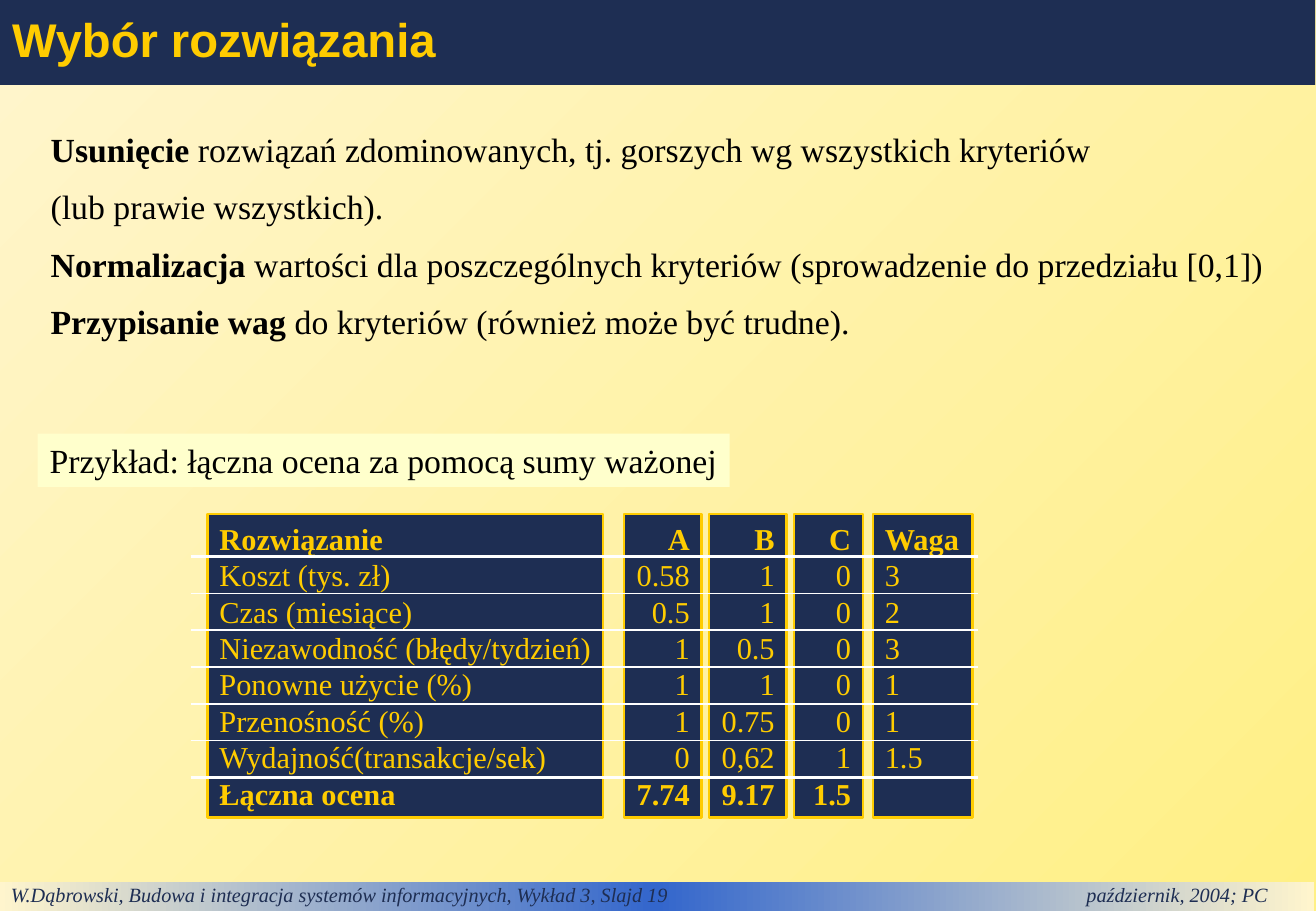
from copy import deepcopy

from lxml import etree
from pptx import Presentation
from pptx import util as u
from pptx.dml.color import RGBColor
from pptx.enum import shapes, text
from pptx.oxml import ns

NAVY = RGBColor(0x1E, 0x2E, 0x53)
GOLD = RGBColor(0xFF, 0xCC, 0x00)
BLUE = RGBColor(0x33, 0x66, 0xCC)
CREAM = RGBColor(0xFF, 0xF5, 0xCD)
LEMON = RGBColor(0xFF, 0xF0, 0x85)
PALE = RGBColor(0xFF, 0xFF, 0xCC)
BLACK = RGBColor(0, 0, 0)
WHITE = RGBColor(0xFF, 0xFF, 0xFF)
SERIF = "Times New Roman"
LEFT, RIGHT = text.PP_ALIGN.LEFT, text.PP_ALIGN.RIGHT

# Content: each paragraph is a list of (words, bold) runs
TITLE = "Wybór rozwiązania"
BODY = [
    [("Usunięcie", True),
     (" rozwiązań zdominowanych, tj. gorszych wg wszystkich kryteriów", False)],
    [("(lub prawie wszystkich).", False)],
    [("Normalizacja", True),
     (" wartości dla poszczególnych kryteriów (sprowadzenie do przedziału [0,1])", False)],
    [("Przypisanie wag", True), (" do kryteriów (również może być trudne).", False)],
]
LABEL = "Przykład: łączna ocena za pomocą sumy ważonej"
FOOTER = ("W.Dąbrowski, Budowa i integracja systemów informacyjnych, Wykład 3, Slajd 19"
          "\tpaździernik, 2004; PC")

# Score columns: left, width, alignment, cells
SCORES = [
    (123.1, 234.7, LEFT, ["Rozwiązanie", "Koszt (tys. zł)", "Czas (miesiące)",
                          "Niezawodność (błędy/tydzień)", "Ponowne użycie (%)",
                          "Przenośność (%)", "Wydajność(transakcje/sek)", "Łączna ocena"]),
    (370.1, 46.1, RIGHT, ["A", "0.58", "0.5", "1", "1", "1", "0", "7.74"]),
    (420.5, 46.1, RIGHT, ["B", "1", "1", "0.5", "1", "0.75", "0,62", "9.17"]),
    (470.9, 41, RIGHT, ["C", "0", "0", "0", "0", "0", "1", "1.5"]),
    (517.7, 59, LEFT, ["Waga", "3", "2", "3", "1", "1", "1.5"]),
]
TOP, TALL = 304.6, 180
BOLD_ROWS = (0, 7)
RULES, RULE_TOP, RULE_STEP = 7, 330, 21.8


def style(item, values):
    for name, value in values.items():
        setattr(item, name, value)


def write(shape, paras, size, color, align=LEFT, gap=0, frame=None, **font):
    """Fill a shape with paragraphs of (words, bold) runs."""
    tf = shape.text_frame
    style(tf, {"word_wrap": True, "auto_size": text.MSO_AUTO_SIZE.NONE,
               "vertical_anchor": text.MSO_ANCHOR.TOP,
               "margin_left": u.Pt(7.2), "margin_right": u.Pt(0),
               "margin_top": u.Pt(3.6), "margin_bottom": u.Pt(3.6), **(frame or {})})
    for i, runs in enumerate(paras):
        para = tf.add_paragraph() if i else tf.paragraphs[0]
        style(para, {"alignment": align, "line_spacing": u.Pt(size * 1.2),
                     "space_before": u.Pt(gap if i else 0)})
        for words, bold in runs:
            run = para.add_run()
            run.text = words
            style(run.font, {"name": SERIF, "size": u.Pt(size), "bold": bold, **font})
            run.font.color.rgb = color
    return tf


def panel(place, fill=None, edge=None):
    shape = slide.shapes.add_shape(shapes.MSO_SHAPE.RECTANGLE, *map(u.Pt, place))
    shape.shadow.inherit = False
    if fill is not None:
        shape.fill.solid()
        shape.fill.fore_color.rgb = fill
    if edge is None:
        shape.line.fill.background()
    else:
        shape.line.color.rgb = edge
        shape.line.width = u.Pt(1.5)
    return shape


def blend(fill, first, last, angle):
    fill.gradient()
    fill.gradient_angle = angle
    for stop, color in zip(fill.gradient_stops, (first, last)):
        stop.color.rgb = color


deck = Presentation()
deck.slide_width, deck.slide_height = u.Pt(780.48), u.Pt(540)
slide = deck.slides.add_slide(deck.slide_layouts[5])
blend(slide.background.fill, LEMON, CREAM, 135)

# Title band
title = slide.shapes.title
style(title, dict(zip(("left", "top", "width", "height"), map(u.Pt, (0, 0, 780, 50.4)))))
title.fill.solid()
title.fill.fore_color.rgb = NAVY
write(title, [[(TITLE, True)]], 28, GOLD, name="Arial",
      frame={"vertical_anchor": text.MSO_ANCHOR.MIDDLE})
title.text_frame.paragraphs[0].line_spacing = 0.9

# Footer band: three-stop gradient and a tab for the date
footer = panel((-0.7, 522.7, 780, 17.3))
blend(footer.fill, CREAM, CREAM, 180)
stops = footer.fill.gradient_stops
first = footer._element.spPr.find(".//" + ns.qn("a:gs"))
first.addnext(deepcopy(first))
stops = footer.fill.gradient_stops
stops[1].position = 0.5
stops[1].color.rgb = BLUE
tf = write(footer, [[(FOOTER, False)]], 12, NAVY, italic=True,
           frame={"margin_top": 0, "margin_bottom": u.Pt(2.9)})
tabs = etree.SubElement(tf.paragraphs[0]._p.get_or_add_pPr(), ns.qn("a:tabLst"))
etree.SubElement(tabs, ns.qn("a:tab"), pos=str(u.Pt(638)), algn="l")

# Body and example label
body = slide.shapes.add_textbox(*map(u.Pt, (23, 72.7, 741.6, 133.2)))
write(body, BODY, 20, BLACK, gap=10)
write(panel((22.3, 257, 410.4, 31.7), PALE), [[(LABEL, False)]], 20, BLACK)

# Score columns
for left, width, align, cells in SCORES:
    column = panel((left, TOP, width, TALL), NAVY, GOLD)
    rows = [[(cell, i in BOLD_ROWS)] for i, cell in enumerate(cells)]
    frame = {"margin_left": 0, "margin_right": u.Pt(7.2)} if align == RIGHT else None
    write(column, rows, 18, GOLD, align, frame=frame)

# Row rules, heavier at the header and the total
for i in range(RULES):
    y = u.Pt(RULE_TOP + i * RULE_STEP)
    rule = slide.shapes.add_connector(
        shapes.MSO_CONNECTOR.STRAIGHT, u.Pt(113), y, u.Pt(580), y)
    rule.line.color.rgb = WHITE
    rule.line.width = u.Pt(1.5 if i in (0, RULES - 1) else 1)
    etree.SubElement(rule._element.spPr, ns.qn("a:effectLst"))

deck.save("out.pptx")
